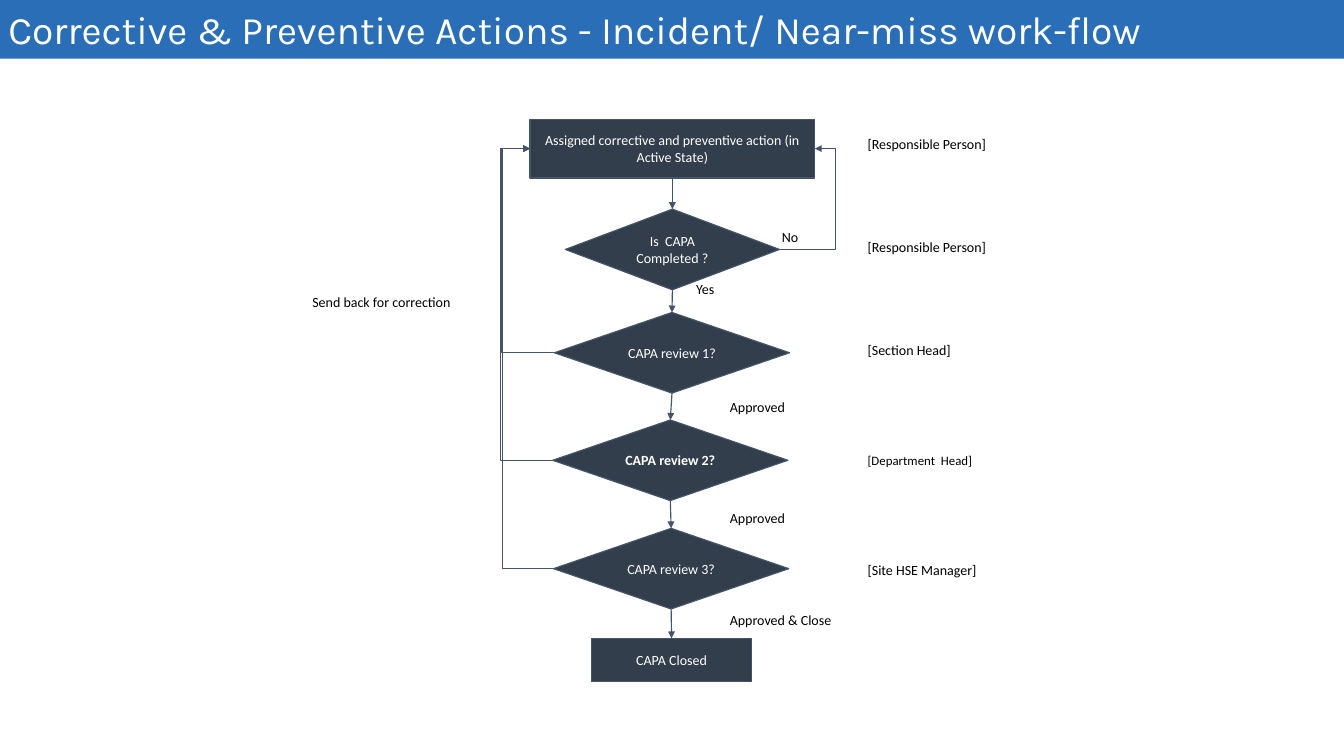
from dataclasses import dataclass

from lxml.etree import SubElement
from pptx import Presentation
from pptx.dml.color import RGBColor
from pptx.enum.shapes import MSO_CONNECTOR as Link, MSO_SHAPE as Shape
from pptx.enum.text import MSO_ANCHOR as Anchor, PP_ALIGN as Align
from pptx.oxml.ns import qn
from pptx.util import Pt

PX = 9144  # 100 px to the inch
TOP, LEFT, BOTTOM, RIGHT = range(4)  # connection sites of a box or diamond


@dataclass(frozen=True)
class Theme:
    band: RGBColor = RGBColor(0x2A, 0x6E, 0xB7)
    step: RGBColor = RGBColor(0x33, 0x3E, 0x4C)
    line: RGBColor = RGBColor(0x44, 0x54, 0x6A)
    light: RGBColor = RGBColor(0xFF, 0xFF, 0xFF)
    dark: RGBColor = RGBColor(0, 0, 0)
    title_font: str = "Karla"
    body_font: str = "Calibri"
    title_size: float = 33.4
    body_size: int = 12
    small_size: int = 11
    line_width: int = 1


THEME = Theme()


def px(*lengths):
    return [length * PX for length in lengths]


def write(shape, words, color, size=THEME.body_size, font=THEME.body_font,
          align=Align.LEFT, anchor=Anchor.TOP, insets=(10, 5, 10, 5), bold=None):
    frame = shape.text_frame
    frame.word_wrap = True
    frame.vertical_anchor = anchor
    (frame.margin_left, frame.margin_top,
     frame.margin_right, frame.margin_bottom) = px(*insets)
    paragraph = frame.paragraphs[0]
    paragraph.alignment = align
    run = paragraph.add_run()
    run.text = words
    run.font.name, run.font.size, run.font.bold = font, Pt(size), bold
    run.font.color.rgb = color


def add_title(slide, box, words):
    band = slide.shapes.add_shape(Shape.RECTANGLE, *px(*box))
    band.shadow.inherit = False
    band.fill.solid()
    band.fill.fore_color.rgb = THEME.band
    band.line.fill.background()
    write(band, words, THEME.light, THEME.title_size, THEME.title_font,
          anchor=Anchor.MIDDLE, insets=(11, 0, 0, 0))


def add_step(slide, kind, box, words, bold=None):
    step = slide.shapes.add_shape(kind, *px(*box))
    step.shadow.inherit = False
    step.fill.solid()
    step.fill.fore_color.rgb = THEME.step
    step.line.color.rgb = THEME.line
    step.line.width = Pt(THEME.line_width)
    write(step, words, THEME.light, align=Align.CENTER, anchor=Anchor.MIDDLE, bold=bold)
    return step


def add_label(slide, box, words, **style):
    write(slide.shapes.add_textbox(*px(*box)), words, THEME.dark, **style)


def add_arrow(slide, source, source_site, target, target_site, lane=None):
    """Join two steps; an elbow runs along the vertical lane at that x."""
    kind = Link.STRAIGHT if lane is None else Link.ELBOW
    arrow = slide.shapes.add_connector(kind, 0, 0, 0, 0)
    arrow.begin_connect(source, source_site)
    arrow.end_connect(target, target_site)
    arrow.line.color.rgb = THEME.line
    arrow.line.width = Pt(THEME.line_width)
    properties = arrow._element.spPr
    SubElement(properties.find(qn("a:ln")), qn("a:tailEnd"), type="triangle")
    SubElement(properties, qn("a:effectLst"))
    if lane is not None:
        bend = (lane * PX - arrow.begin_x) / (arrow.end_x - arrow.begin_x)
        guides = properties.find(qn("a:prstGeom")).get_or_add_avLst()
        SubElement(guides, qn("a:gd"), name="adj1", fmla=f"val {round(bend * 100000)}")


def add_workflow(slide, box):
    left, top, width, height = box
    assigned = add_step(slide, Shape.RECTANGLE, (left + 269, top, 339, 70),
                        "Assigned corrective and preventive action (in Active State)")
    completed = add_step(slide, Shape.DIAMOND, (left + 311, top + 107, 255, 96),
                         "Is  CAPA Completed ?")
    reviews = [
        add_step(slide, Shape.DIAMOND, (left + x, top + y, 280, 96),
                 f"CAPA review {number}?", bold=number == 2 or None)
        for number, (x, y) in enumerate([(298, 230), (296, 358), (297, 487)], 1)
    ]
    closed = add_step(slide, Shape.RECTANGLE, (left + 342, top + height - 51, 191, 51),
                      "CAPA Closed")

    chain = [assigned, completed, *reviews, closed]
    for source, target in zip(chain, chain[1:]):
        add_arrow(slide, source, BOTTOM, target, TOP)
    add_arrow(slide, completed, RIGHT, assigned, RIGHT, left + 633)
    for review, lane in zip(reviews, (235, 234, 236)):
        add_arrow(slide, review, LEFT, assigned, LEFT, left + lane)

    add_label(slide, (left + 552, top + 125, 53, 29), "No", align=Align.CENTER,
              anchor=Anchor.MIDDLE, insets=(0, 0, 0, 0))
    for x, y, label_width, words in [
        (457, 187, 80, "Yes"),
        (497, 327, 141, "Approved"),
        (497, 460, 141, "Approved"),
        (497, 581, 184, "Approved & Close"),
        (0, 203, 204, "Send back for correction"),
    ]:
        add_label(slide, (left + x, top + y, label_width, 30), words)


def add_roles(slide, box):
    left, top, width, height = box
    for y, role, size in [
        (0, "[Responsible Person]", THEME.body_size),
        (123, "[Responsible Person]", THEME.body_size),
        (246, "[Section Head]", THEME.body_size),
        (378, "[Department  Head]", THEME.small_size),
        (507, "[Site HSE Manager]", THEME.body_size),
    ]:
        add_label(slide, (left, top + y, width, 30), role, size=size)


def main():
    deck = Presentation()
    deck.slide_width, deck.slide_height = px(1600, 900)
    slide = deck.slides.add_slide(deck.slide_layouts[6])
    add_title(slide, (-1, 0, 1603, 70),
              "Corrective & Preventive Actions - Incident/ Near-miss work-flow")
    add_workflow(slide, (362, 142, 681, 669))
    add_roles(slide, (1023, 156, 406, 537))
    deck.save("out.pptx")


if __name__ == "__main__":
    main()
